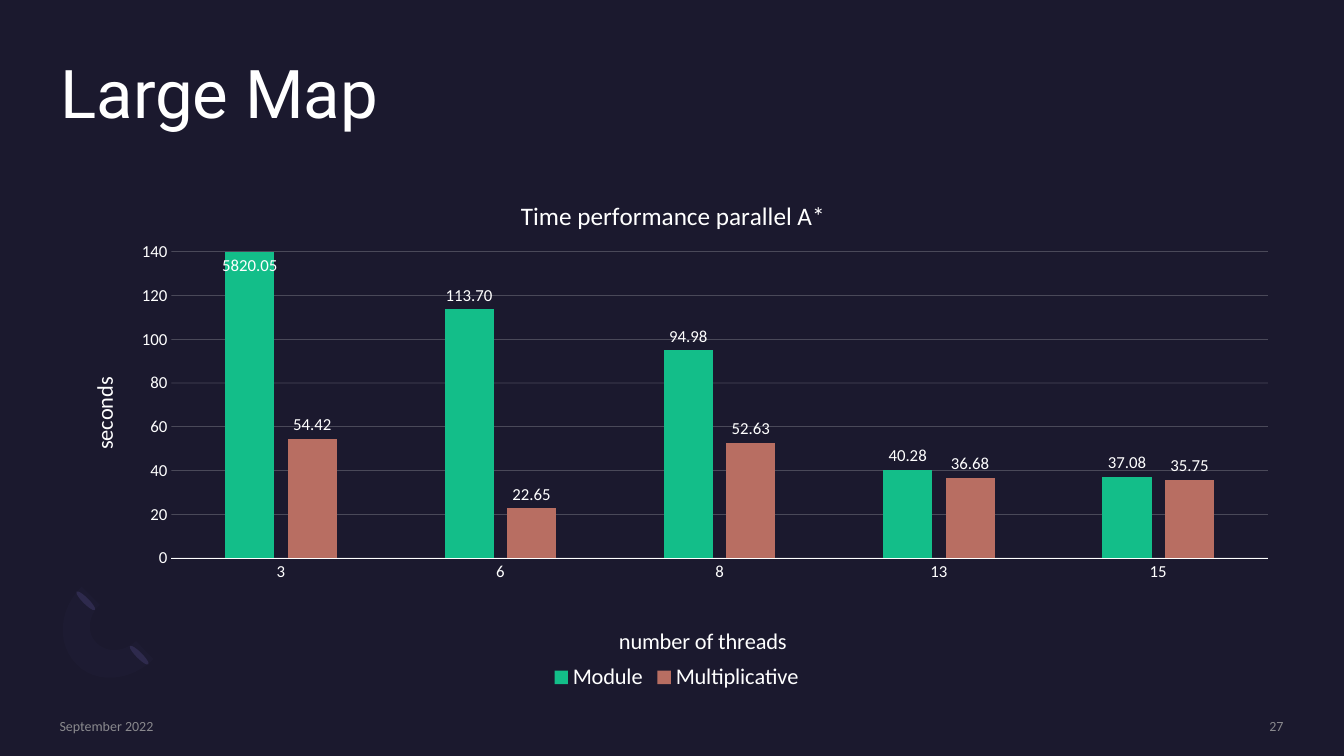
from lxml.etree import SubElement
from pptx import Presentation
from pptx.chart.data import CategoryChartData
from pptx.dml.color import RGBColor
from pptx.enum.chart import XL_CHART_TYPE, XL_LABEL_POSITION, XL_LEGEND_POSITION, XL_TICK_MARK
from pptx.enum.shapes import MSO_SHAPE
from pptx.enum.text import MSO_ANCHOR, PP_ALIGN
from pptx.oxml.ns import qn
from pptx.util import Inches, Pt

BACKGROUND, WHITE, GREY = "1B192E", "FFFFFF", "A6A6A6"
PETAL, ARC = "2C284A", "7771B2"
THREADS = ["3", "6", "8", "13", "15"]
SERIES = [
    ("Module", "13BE89", "###0.00", [5820.05, 113.70, 94.98, 40.28, 37.08]),
    ("Multiplicative", "B86E62", "#,##0.00", [54.42, 22.65, 52.63, 36.68, 35.75]),
]


def set_values(target, values):
    for name, value in values.items():
        setattr(target, name, value)


def set_fill(fill, color, opacity=100):
    fill.solid()
    fill.fore_color.rgb = RGBColor.from_string(color)
    if opacity < 100:
        for node in fill._xPr.iter(qn("a:srgbClr")):
            SubElement(node, qn("a:alpha"), val=str(opacity * 1000))


def set_font(font, size, color=WHITE, name="Calibri", opacity=100):
    set_values(font, {"size": Pt(size), "name": name, "bold": False})
    set_fill(font.fill, color, opacity)


def add_text(slide, box, text, size, name="Calibri", color=WHITE, opacity=100,
             anchor=MSO_ANCHOR.MIDDLE, **paragraph_format):
    frame = slide.shapes.add_textbox(*map(Inches, box)).text_frame
    set_values(frame, {"word_wrap": True, "vertical_anchor": anchor, "margin_left": 0,
                       "margin_right": 0, "margin_top": 0, "margin_bottom": 0})
    paragraph = frame.paragraphs[0]
    set_values(paragraph, paragraph_format)
    run = paragraph.add_run()
    run.text = text
    set_font(run.font, size, color, name, opacity)


def style_shape(shape, color, opacity=100):
    shape.shadow.inherit = False
    set_fill(shape.fill, color, opacity)
    shape.line.fill.background()


def curve_points(start, first, second, end, steps=12):
    for step in range(1, steps + 1):
        t = step / steps
        weights = ((1 - t) ** 3, 3 * t * (1 - t) ** 2, 3 * t * t * (1 - t), t ** 3)
        yield tuple(sum(weight * point[axis] for weight, point
                        in zip(weights, (start, first, second, end))) for axis in (0, 1))


def add_ornament(slide, left, top):
    # Two slanted petals
    for x, y in ((0.9, 0.55), (0.37, 0.01)):
        petal = slide.shapes.add_shape(MSO_SHAPE.OVAL, Inches(left + x), Inches(top + y),
                                       Inches(0.06), Inches(0.26))
        petal.rotation = 135
        style_shape(petal, PETAL)
    # Faint arc: outer and inner edges, each a chain of curves
    outer = [((0.31, 0.77), (0.11, 0.57), (0.13, 0.23), (0.36, 0))]
    inner = [((0.54, 0.18), (0.42, 0.29), (0.41, 0.47), (0.51, 0.56)),
             ((0.51, 0.56), (0.61, 0.66), (0.78, 0.65), (0.9, 0.54))]
    closing = [((1.07, 0.72), (0.85, 0.94), (0.5, 0.97), (0.31, 0.77))]
    points = []
    for curve in outer + inner + closing:
        points += [curve[0], *curve_points(*curve)]
    points = [(Inches(left + x), Inches(top + y)) for x, y in points]
    builder = slide.shapes.build_freeform(*points[0])
    builder.add_line_segments(points[1:])
    style_shape(builder.convert_to_shape(), ARC, 3)


def place(element, following, **position):
    """Give a chart part a manual layout, as fractions of the chart."""
    for old in element.findall(qn("c:layout")):
        element.remove(old)
    layout = SubElement(element, qn("c:layout"))
    element.remove(layout)
    following.addprevious(layout)
    manual = SubElement(layout, qn("c:manualLayout"))
    if "w" in position:
        SubElement(manual, qn("c:layoutTarget"), val="inner")
    for axis in "xy":
        SubElement(manual, qn(f"c:{axis}Mode"), val="edge")
    for name, value in position.items():
        SubElement(manual, qn(f"c:{name}"), val=str(value))


def add_title(owner, text, size, x, y):
    title = owner.chart_title if hasattr(owner, "chart_title") else owner.axis_title
    title.text_frame.text = text
    set_font(title.text_frame.paragraphs[0].runs[0].font, size)
    element = title._element
    place(element, element.find(qn("c:overlay")), x=x, y=y)


def add_time_chart(slide, box):
    data = CategoryChartData()
    data.categories = THREADS
    for name, _, number_format, values in SERIES:
        data.add_series(name, values, number_format)
    chart = slide.shapes.add_chart(XL_CHART_TYPE.COLUMN_CLUSTERED,
                                   *map(Inches, box), data).chart
    set_font(chart.font, 10)

    # Titles and plot area
    add_title(chart, "Time performance parallel A*", 18, 0.37, 0.05)
    category_axis, value_axis = chart.category_axis, chart.value_axis
    add_title(category_axis, "number of threads", 16, 0.45, 0.86)
    add_title(value_axis, "seconds", 16, 0.02, 0.39)
    plot_area = chart._chartSpace.chart.plotArea
    place(plot_area, plot_area.find(qn("c:barChart")), x=0.09, y=0.16, w=0.89, h=0.58)

    # Axes
    for axis in (category_axis, value_axis):
        set_values(axis, {"major_tick_mark": XL_TICK_MARK.NONE,
                          "minor_tick_mark": XL_TICK_MARK.NONE})
        set_font(axis.tick_labels.font, 12)
    set_values(value_axis, {"minimum_scale": 0, "maximum_scale": 140, "major_unit": 20})
    set_values(value_axis.tick_labels, {"number_format": "0",
                                        "number_format_is_linked": False})
    value_axis.format.line.fill.background()
    category_axis.format.line.width = Pt(0.75)
    set_fill(category_axis.format.line.fill, WHITE)
    gridlines = value_axis.major_gridlines.format.line
    gridlines.width = Pt(0.25)
    set_fill(gridlines.fill, WHITE, 60)

    # Columns and their labels
    plot = chart.plots[0]
    set_values(plot, {"gap_width": 219, "overlap": -27, "vary_by_categories": False})
    for series, (_, color, number_format, _) in zip(plot.series, SERIES):
        set_fill(series.format.fill, color)
        labels = series.data_labels
        set_values(labels, {"show_value": True, "number_format": number_format,
                            "number_format_is_linked": False,
                            "position": XL_LABEL_POSITION.OUTSIDE_END})
        set_font(labels.font, 12)
    clipped_label = plot.series[0].points[0].data_label
    set_font(clipped_label.font, 12)
    clipped_label.position = XL_LABEL_POSITION.INSIDE_END

    # Legend
    chart.has_legend = True
    set_values(chart.legend, {"position": XL_LEGEND_POSITION.BOTTOM,
                              "include_in_layout": False})
    set_font(chart.legend.font, 16)


def add_footer(slide, left, top, width):
    style = {"size": 10, "color": GREY, "opacity": 80}
    add_text(slide, (left, top, 2.88, 0.17), "September 2022", **style)
    add_text(slide, (left + width - 1.85, top, 1.85, 0.17), "27",
             alignment=PP_ALIGN.RIGHT, **style)


def main():
    presentation = Presentation()
    set_values(presentation, {"slide_width": Inches(13.33), "slide_height": Inches(7.5)})
    slide = presentation.slides.add_slide(presentation.slide_layouts[6])
    set_fill(slide.background.fill, BACKGROUND)
    add_ornament(slide, 0.45, 5.82)
    add_text(slide, (0.6, 0.6, 12.13, 1.46), "Large Map", 48, "Roboto",
             anchor=MSO_ANCHOR.TOP, line_spacing=0.9)
    add_time_chart(slide, (0.6, 1.66, 12.22, 5.24))
    add_footer(slide, 0.59, 7.12, 12.14)
    presentation.save("out.pptx")


if __name__ == "__main__":
    main()
